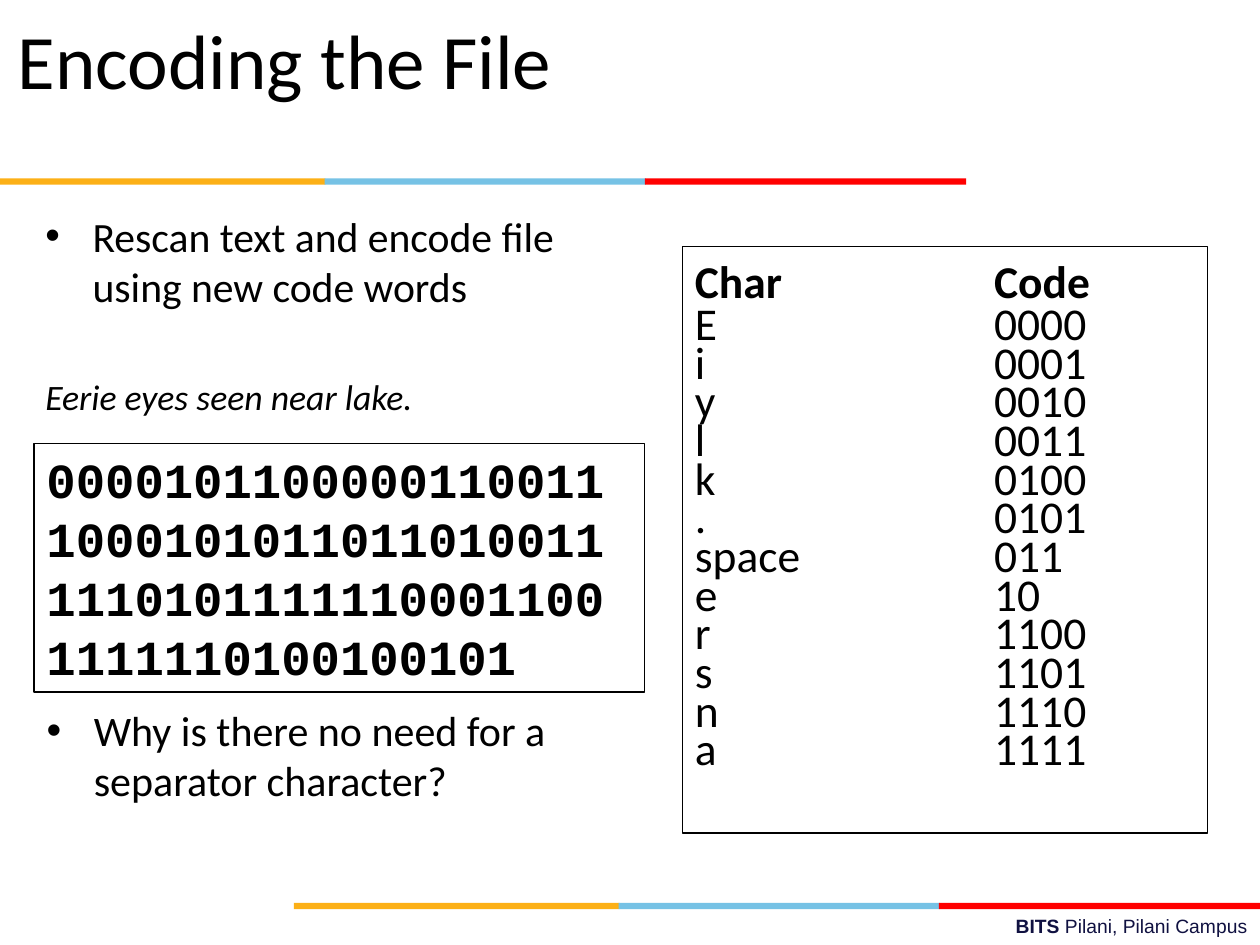
"""Build the slide on encoding a file with new code words."""
from dataclasses import dataclass
import pptx
import pptx.util
import pptx.dml.color
import pptx.enum.shapes
import pptx.enum.text
import pptx.oxml.xmlchemy
from pptx.oxml.ns import qn
from lxml import etree

Pt = pptx.util.Pt
Align = pptx.enum.text.PP_ALIGN
BLACK = "000000"
HANG = 27


@dataclass
class Box:
    left: float
    top: float
    width: float
    height: float


@dataclass
class Band:
    start: float
    width: float
    color: str


BANDS = [
    Band(0, 186, "FCB017"),
    Band(185.5, 183.6, "76C2E5"),
    Band(368.5, 183.6, "FF0000"),
]
CODES = [
    ("E", "0000"), ("i", "0001"), ("y", "0010"), ("l", "0011"),
    ("k", "0100"), (".", "0101"), ("space", "011"), ("e", "10"),
    ("r", "1100"), ("s", "1101"), ("n", "1110"), ("a", "1111"),
]
BITS = "0000101100000110011100010101101101001111101011111100011001111110100100101"


def rgb(code: str) -> pptx.dml.color.RGBColor:
    return pptx.dml.color.RGBColor.from_string(code)


def place(shape, box: Box) -> None:
    shape.left, shape.top = Pt(box.left), Pt(box.top)
    shape.width, shape.height = Pt(box.width), Pt(box.height)


def style(para, size: float, face: str = "Calibri", bold: bool = False,
          color: str = BLACK) -> None:
    font = para.font
    font.size, font.name, font.bold = Pt(size), face, bold
    font.color.rgb = rgb(color)


def prepare(shape):
    frame = shape.text_frame
    frame.word_wrap = True
    frame.auto_size = pptx.enum.text.MSO_AUTO_SIZE.NONE
    frame.vertical_anchor = pptx.enum.text.MSO_ANCHOR.TOP
    return frame


def set_bullet(para, mark: str = "") -> None:
    props = para._p.get_or_add_pPr()
    hang = HANG if mark else 0
    props.set("marL", str(Pt(hang)))
    props.set("indent", str(Pt(-hang)))
    if mark:
        etree.SubElement(props, qn("a:buFont"), typeface="Arial")
        etree.SubElement(props, qn("a:buChar"), char=mark)
    else:
        etree.SubElement(props, qn("a:buNone"))


def set_tab(para, spot: float) -> None:
    tabs = etree.SubElement(para._p.get_or_add_pPr(), qn("a:tabLst"))
    etree.SubElement(tabs, qn("a:tab"), pos=str(Pt(spot)), algn="l")


def add_box(slide, box: Box):
    shape = slide.shapes.add_textbox(0, 0, 0, 0)
    place(shape, box)
    return shape


def add_frame(slide, box: Box):
    shape = slide.shapes.add_shape(
        pptx.enum.shapes.MSO_SHAPE.RECTANGLE, 0, 0, 0, 0)
    place(shape, box)
    shape.shadow.inherit = False
    shape.fill.background()
    shape.line.color.rgb = rgb(BLACK)
    shape.line.width = Pt(0.75)
    return prepare(shape)


def add_bands(slide, left: float, top: float) -> None:
    for band in BANDS:
        shape = slide.shapes.add_shape(
            pptx.enum.shapes.MSO_SHAPE.RECTANGLE, 0, 0, 0, 0)
        place(shape, Box(left + band.start, top, band.width, 3.6))
        shape.shadow.inherit = False
        shape.fill.solid()
        shape.fill.fore_color.rgb = rgb(band.color)
        shape.line.fill.background()


def add_foot(slide) -> None:
    para = prepare(add_box(slide, Box(258, 519, 462, 21))).paragraphs[0]
    para.alignment = Align.RIGHT
    style(para, 11, "Arial", color="101141")
    name = para.add_run()
    name.text, name.font.bold = "BITS ", True
    para.add_run().text = "Pilani, Pilani Campus"


def add_title(slide) -> None:
    shape = slide.shapes.title
    place(shape, Box(3, 3.6, 648, 90))
    para = prepare(shape).paragraphs[0]
    para.text, para.alignment = "Encoding the File", Align.LEFT
    style(para, 44)


def add_body(slide) -> None:
    shape = slide.placeholders[1]
    place(shape, Box(18.7, 116.6, 342, 124.6))
    frame = prepare(shape)
    point = frame.paragraphs[0]
    point.text = "Rescan text and encode file using new code words"
    set_bullet(point, "•")
    point.space_before = Pt(0)
    style(point, 23.8)
    quote = frame.add_paragraph()
    quote.text = "Eerie eyes seen near lake."
    set_bullet(quote)
    quote.space_before = Pt(37)
    style(quote, 20.4)
    quote.font.italic = True


def add_codes(slide) -> None:
    frame = add_frame(slide, Box(390, 141, 300, 335))
    for row, pair in enumerate([("Char", "Code"), *CODES]):
        para = frame.add_paragraph() if row else frame.paragraphs[0]
        para.text, para.alignment = "\t".join(pair), Align.LEFT
        if row:
            para.line_spacing, para.space_before = 0.5, Pt(6.5)
        set_tab(para, 171)
        style(para, 26, bold=row == 0)


def add_bits(slide) -> None:
    para = add_frame(slide, Box(19.5, 253.5, 349, 142)).paragraphs[0]
    para.text, para.alignment = BITS, Align.LEFT
    style(para, 28, "Courier New", True)


def add_query(slide) -> None:
    para = prepare(add_box(slide, Box(19.5, 399, 342, 124.6))).paragraphs[0]
    para.text = "Why is there no need for a separator character?"
    set_bullet(para, "•")
    style(para, 24)


def main() -> None:
    deck = pptx.Presentation()
    deck.slide_width, deck.slide_height = Pt(720), Pt(540)
    slide = deck.slides.add_slide(deck.slide_layouts[1])
    add_foot(slide)
    add_bands(slide, 168, 516)
    add_bands(slide, 0, 102)
    add_title(slide)
    add_body(slide)
    add_codes(slide)
    add_bits(slide)
    add_query(slide)
    deck.save("out.pptx")


if __name__ == "__main__":
    main()
